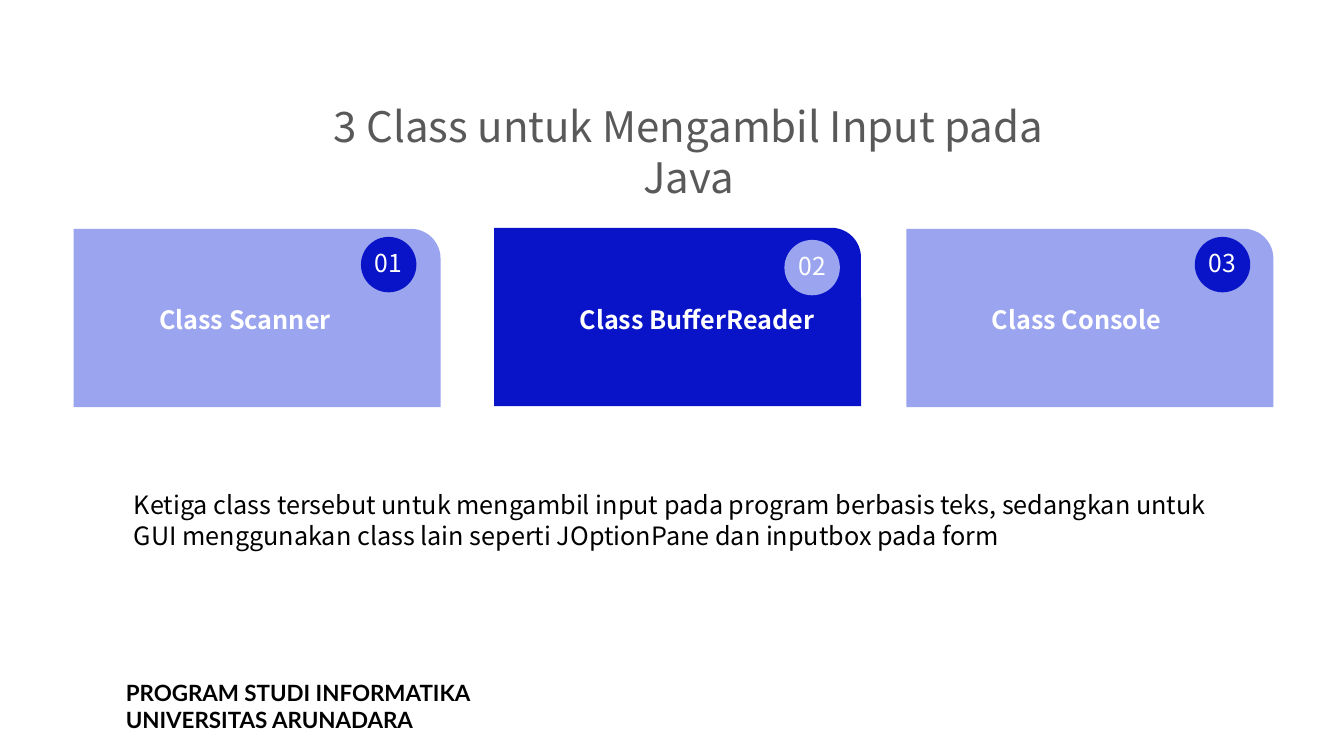
from pptx import Presentation
from pptx.dml.color import RGBColor
from pptx.enum import shapes, text
from pptx.util import Inches, Pt

# Content
TITLE = "3 Class untuk Mengambil Input pada Java"
CLASSES = ["Class Scanner", "Class BufferReader", "Class Console"]
NOTE = ("Ketiga class tersebut untuk mengambil input pada program berbasis teks, "
        "sedangkan untuk GUI menggunakan class lain seperti JOptionPane dan inputbox pada form")
FOOTER = ["PROGRAM STUDI INFORMATIKA", "UNIVERSITAS ARUNADARA"]

# Colours and fonts
PALE = RGBColor(0x9A, 0xA4, 0xEF)
DEEP = RGBColor(0x09, 0x13, 0xC8)
WHITE = RGBColor(0xFF, 0xFF, 0xFF)
BLACK = RGBColor(0x00, 0x00, 0x00)
GREY = RGBColor(0x59, 0x59, 0x59)
SANS, FOOTER_FONT = "Noto Sans CJK SC", "Lato"

# Card grid, in inches: (card left, card top), badge offset from the card
CARD_SIZE = (3.64, 1.77)
CARD_CORNERS = [(0.73, 2.27), (4.9, 2.26), (8.99, 2.27)]
BADGE_OFFSETS = [(2.85, 0.08), (2.88, 0.12), (2.86, 0.08)]
BADGE = 0.55
LABEL_INDENT, LABEL_TOP, LABEL_SIZE = 0.75, 2.95, (2.69, 0.42)


def write(shape, lines, size, color, font=SANS, bold=False, align=text.PP_ALIGN.LEFT,
          anchor=text.MSO_ANCHOR.TOP, wrap=True, spacing=1.0):
    frame = shape.text_frame
    for name, value in {"word_wrap": wrap, "vertical_anchor": anchor,
                        "auto_size": text.MSO_AUTO_SIZE.NONE}.items():
        setattr(frame, name, value)
    frame.text = "\n".join(lines)
    for para in frame.paragraphs:
        para.alignment, para.line_spacing = align, spacing
        for span in para.runs:
            for name, value in {"size": Pt(size), "name": font, "bold": bold}.items():
                setattr(span.font, name, value)
            span.font.color.rgb = color


def add_block(page, kind, left, top, width, height, fill):
    shape = page.shapes.add_shape(kind, *map(Inches, (left, top, width, height)))
    shape.shadow.inherit = False
    shape.fill.solid()
    shape.fill.fore_color.rgb = fill
    shape.line.fill.background()
    return shape


def add_box(page, left, top, width, height):
    return page.shapes.add_textbox(*map(Inches, (left, top, width, height)))


def main():
    deck = Presentation()
    deck.slide_width, deck.slide_height = Inches(13.33), Inches(7.5)
    page = deck.slides.add_slide(deck.slide_layouts[5])

    # Title
    title = page.shapes.title
    title.left, title.top, title.width, title.height = map(Inches, (3.2, 0.95, 7.26, 1.11))
    write(title, [TITLE], 30, GREY, align=text.PP_ALIGN.CENTER)

    # Numbered cards, with the middle one in reversed colours
    for index, (label, (left, top), (across, down)) in enumerate(
            zip(CLASSES, CARD_CORNERS, BADGE_OFFSETS)):
        card_fill, badge_fill = (DEEP, PALE) if index % 2 else (PALE, DEEP)
        add_block(page, shapes.MSO_SHAPE.ROUND_1_RECTANGLE, left, top, *CARD_SIZE, card_fill)
        badge = add_block(page, shapes.MSO_SHAPE.OVAL, left + across, top + down,
                          BADGE, BADGE, badge_fill)
        write(badge, [f"{index + 1:02}"], 17.6, WHITE, align=text.PP_ALIGN.CENTER,
              anchor=text.MSO_ANCHOR.MIDDLE, wrap=False, spacing=0.9)
        box = add_box(page, left + LABEL_INDENT, LABEL_TOP, *LABEL_SIZE)
        write(box, [label], 18, WHITE, bold=True, anchor=text.MSO_ANCHOR.BOTTOM)

    # Note and footer
    write(add_box(page, 1.23, 4.81, 10.99, 0.71), [NOTE], 18, BLACK)
    write(add_box(page, 1.15, 6.69, 6.56, 0.64), FOOTER, 16, BLACK, FOOTER_FONT, bold=True)

    deck.save("out.pptx")


if __name__ == "__main__":
    main()
